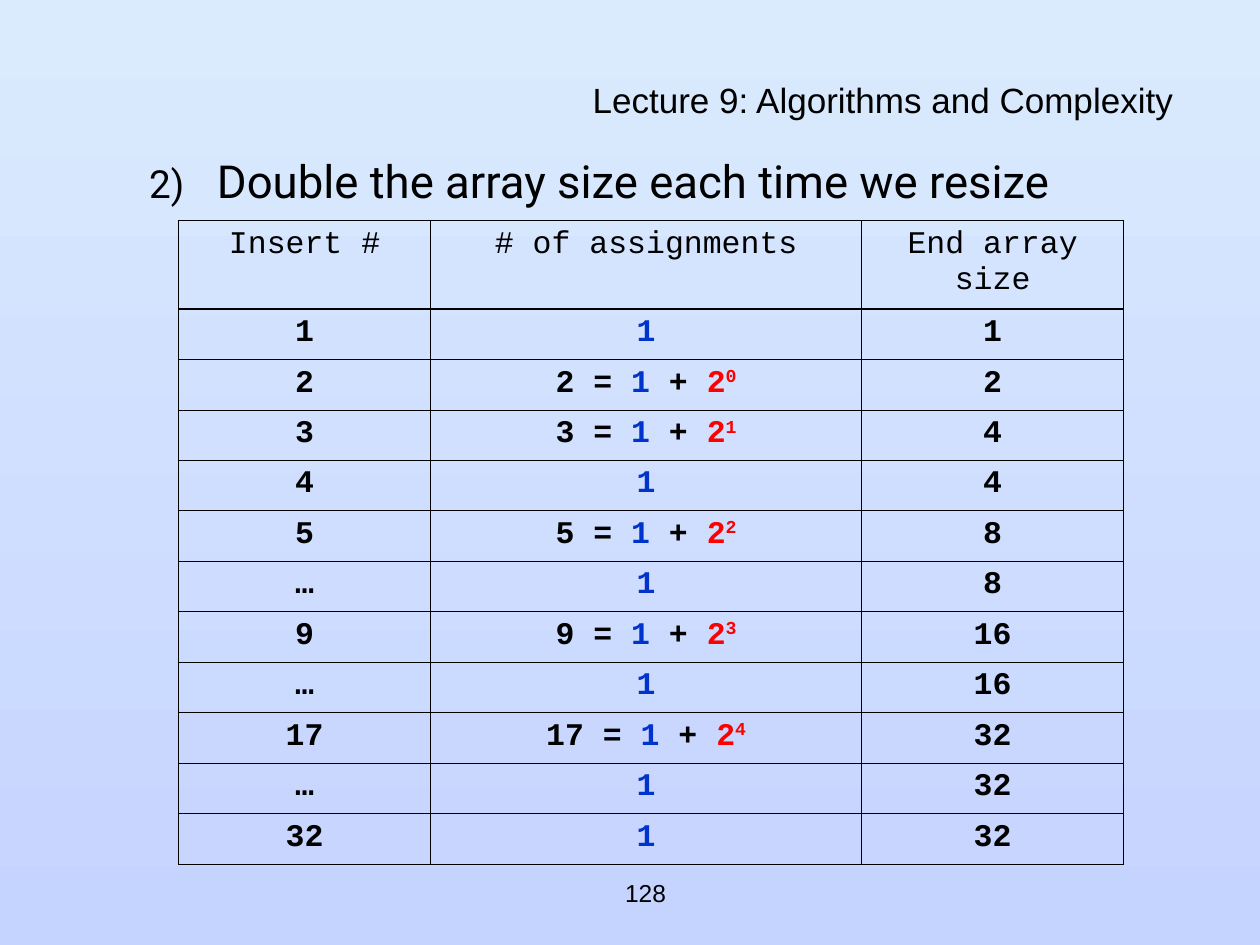
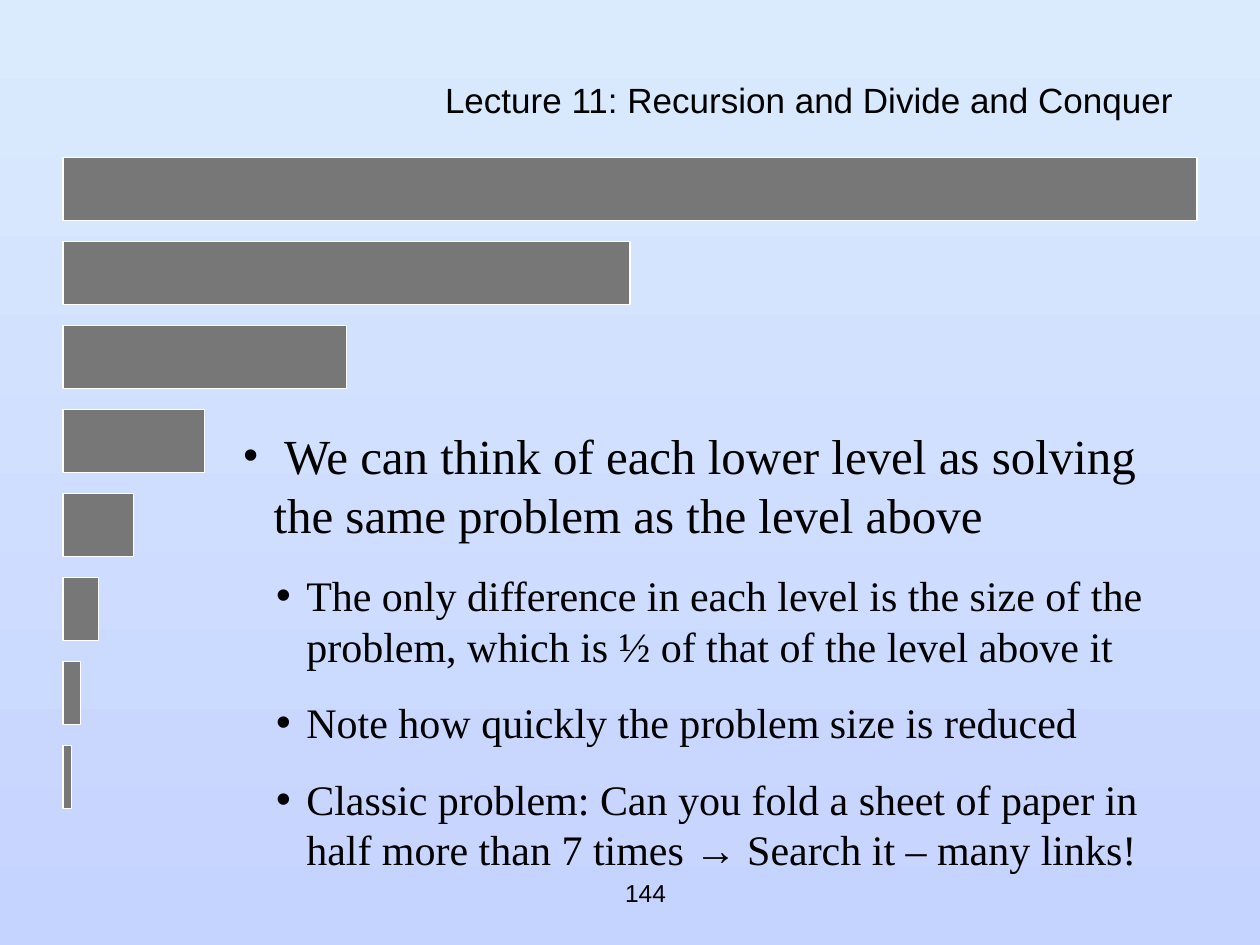
import pptx
import pptx.dml.color
import pptx.enum.shapes
import pptx.enum.text
import pptx.oxml
import pptx.oxml.ns
import pptx.util
from lxml import etree

Cm = pptx.util.Cm
Pt = pptx.util.Pt
RGBColor = pptx.dml.color.RGBColor
Align = pptx.enum.text.PP_ALIGN
Anchor = pptx.enum.text.MSO_ANCHOR

# Colours and fonts
SKY_TOP = RGBColor(0xDA, 0xEB, 0xFE)
SKY_BOTTOM = RGBColor(0xC5, 0xD3, 0xFF)
BLACK = RGBColor(0, 0, 0)
WHITE = RGBColor(0xFF, 0xFF, 0xFF)
GRAY = RGBColor(0x77, 0x77, 0x77)
BLUE = RGBColor(0, 0x33, 0xCC)
RED = RGBColor(0xFF, 0, 0)
HEADING_FONT = "Arial"
LIST_FONT = "Roboto"
TABLE_FONT = "Courier New"
BODY_FONT = "Times New Roman"

# Table content: insert number, exponent of the copying cost, end array size
HEADERS = ["Insert #", "# of assignments", "End array size"]
INSERTS = [
    ("1", None, 1), ("2", 0, 2), ("3", 1, 4), ("4", None, 4),
    ("5", 2, 8), ("…", None, 8), ("9", 3, 16), ("…", None, 16),
    ("17", 4, 32), ("…", None, 32), ("32", None, 32),
]
COLUMN_WIDTHS = [5.08, 8.69, 5.28]
TABLE_HEIGHT, HEADER_HEIGHT = 12.95, 1.78
ROW_HEIGHT = (TABLE_HEIGHT - HEADER_HEIGHT) / len(INSERTS)
THIN, THICK = 0.45, 1.47

# Halving bars
BAR_COUNT = 8
BAR_LEFT, BAR_TOP, BAR_WIDTH, BAR_HEIGHT = 1.27, 3.18, 22.86, 1.27
BAR_PITCH = BAR_HEIGHT * 4 / 3

POINTS = [
    "The only difference in each level is the size of the problem, "
    "which is ½ of that of the level above it",
    "Note how quickly the problem size is reduced",
]


def place(shape, left, top, width, height):
    shape.left, shape.top = Cm(left), Cm(top)
    shape.width, shape.height = Cm(width), Cm(height)


def add_run(paragraph, text, font, size, color=BLACK, bold=False, baseline=0):
    run = paragraph.add_run()
    run.text = text
    run.font.name = font
    run.font.size = Pt(size)
    run.font.color.rgb = color
    run.font.bold = bold
    if baseline:
        run.font._element.set("baseline", str(baseline * 1000))


def add_marker(paragraph, margin, hanging, marker, size=100):
    """Give the paragraph a hanging indent with a black bullet or number."""
    properties = paragraph._p.get_or_add_pPr()
    properties.set("marL", str(Cm(margin)))
    properties.set("indent", str(-Cm(hanging)))
    for xml in (f'<a:buClr %s><a:srgbClr val="{BLACK}"/></a:buClr>',
                f'<a:buSzPct %s val="{size * 1000}"/>',
                marker):
        properties.append(pptx.oxml.parse_xml(xml % pptx.oxml.ns.nsdecls("a")))


def style_master(presentation):
    fill = presentation.slide_master.background.fill
    fill.gradient()
    fill.gradient_angle = 270
    for stop, color, position in zip(fill.gradient_stops, (SKY_TOP, SKY_BOTTOM), (0, 1)):
        stop.color.rgb = color
        stop.position = position


def add_lecture_slide(presentation, title_text, number):
    slide = presentation.slides.add_slide(presentation.slide_layouts[1])
    # Title
    title = slide.shapes.title
    place(title, 1.48, 1.7, 22.43, 0.84)
    title.text_frame.auto_size = pptx.enum.text.MSO_AUTO_SIZE.NONE
    title.text_frame.vertical_anchor = Anchor.MIDDLE
    paragraph = title.text_frame.paragraphs[0]
    paragraph.alignment = Align.RIGHT
    paragraph.line_spacing = 0.7
    add_run(paragraph, title_text, HEADING_FONT, 20)
    # Page number
    box = slide.shapes.add_textbox(Cm(10.37), Cm(17.36), Cm(5.29), Cm(1.27))
    box.text_frame.word_wrap = False
    box.text_frame.vertical_anchor = Anchor.MIDDLE
    paragraph = box.text_frame.paragraphs[0]
    paragraph.alignment = Align.CENTER
    add_run(paragraph, str(number), HEADING_FONT, 14)
    return slide


def prepare_body(slide, left, top, width, height):
    body = slide.placeholders[1]
    place(body, left, top, width, height)
    body.text_frame.auto_size = pptx.enum.text.MSO_AUTO_SIZE.NONE
    return body.text_frame


def set_borders(cell, top, bottom):
    properties = cell._tc.get_or_add_tcPr()
    for side, width in (("L", THIN), ("R", THIN), ("T", top), ("B", bottom)):
        line = etree.SubElement(properties, pptx.oxml.ns.qn(f"a:ln{side}"), w=str(Pt(width)))
        fill = etree.SubElement(line, pptx.oxml.ns.qn("a:solidFill"))
        etree.SubElement(fill, pptx.oxml.ns.qn("a:srgbClr"), val=str(BLACK))


def fill_cell(cell, parts, bold):
    """Write (text, colour, baseline) parts into a centred cell."""
    paragraph = cell.text_frame.paragraphs[0]
    paragraph.alignment = Align.CENTER
    for text, color, baseline in parts:
        add_run(paragraph, text, TABLE_FONT, 18, color, bold, baseline)


def assignment_parts(insert, exponent):
    one = ("1", BLUE, 0)
    if exponent is None:
        return [one]
    return [(f"{insert} = ", BLACK, 0), one, (" + ", BLACK, 0),
            ("2", RED, 0), (str(exponent), RED, 30)]


def add_insert_table(slide):
    rows = [[[(header, BLACK, 0)] for header in HEADERS]]
    for insert, exponent, size in INSERTS:
        rows.append([[(insert, BLACK, 0)], assignment_parts(insert, exponent),
                     [(str(size), BLACK, 0)]])
    table = slide.shapes.add_table(len(rows), len(HEADERS), Cm(3.6), Cm(4.45),
                                   Cm(sum(COLUMN_WIDTHS)), Cm(TABLE_HEIGHT)).table
    table.first_row = table.horz_banding = False
    for column, width in zip(table.columns, COLUMN_WIDTHS):
        column.width = Cm(width)
    for row_index, row in enumerate(rows):
        table.rows[row_index].height = Cm(ROW_HEIGHT if row_index else HEADER_HEIGHT)
        for column_index, parts in enumerate(row):
            cell = table.cell(row_index, column_index)
            fill_cell(cell, parts, bold=row_index > 0)
            set_borders(cell, THICK if row_index == 1 else THIN,
                        THICK if row_index == 0 else THIN)
            cell.fill.background()


def add_halving_bars(slide):
    for level in range(BAR_COUNT):
        bar = slide.shapes.add_shape(
            pptx.enum.shapes.MSO_SHAPE.RECTANGLE, Cm(BAR_LEFT),
            Cm(BAR_TOP + level * BAR_PITCH), Cm(BAR_WIDTH / 2 ** level), Cm(BAR_HEIGHT))
        bar.shadow.inherit = False
        bar.fill.solid()
        bar.fill.fore_color.rgb = GRAY
        bar.line.color.rgb = WHITE
        bar.line.width = Pt(0.75)


def add_bullet(paragraph, margin, parts, space_before=0):
    """Write (text, font, size) parts as one bulleted paragraph."""
    add_marker(paragraph, margin, 0.61, '<a:buChar %s char="•"/>')
    paragraph.space_before = Pt(space_before)
    for text, font, size in parts:
        add_run(paragraph, text, font, size)


def build_doubling_slide(presentation):
    slide = add_lecture_slide(presentation, "Lecture 9: Algorithms and Complexity", 128)
    paragraph = prepare_body(slide, 1.48, 2.96, 22.43, 13.97).paragraphs[0]
    add_marker(paragraph, 2.64, 1.37,
               '<a:buAutoNum %s type="arabicParenR" startAt="2"/>', size=85)
    paragraph.space_before = Pt(0)
    add_run(paragraph, "Double the array size each time we resize", LIST_FONT, 26)
    add_insert_table(slide)


def build_halving_slide(presentation):
    slide = add_lecture_slide(presentation, "Lecture 11: Recursion and Divide and Conquer", 144)
    add_halving_bars(slide)
    frame = prepare_body(slide, 4.65, 8.46, 19.48, 9.3)
    add_bullet(frame.paragraphs[0], 0.61, [
        (" ", BODY_FONT, 24),
        ("We can think of each lower level as solving the same problem as the level above",
         BODY_FONT, 28)])
    details = [[(point, BODY_FONT, 24)] for point in POINTS]
    details.append([
        ("Classic problem: Can you fold a sheet of paper in half more than 7 times ",
         BODY_FONT, 24),
        ("→", HEADING_FONT, 24),
        (" Search it – many links!", BODY_FONT, 24)])
    for parts in details:
        paragraph = frame.add_paragraph()
        paragraph.level = 1
        add_bullet(paragraph, 1.27, parts, space_before=15)


def main():
    presentation = pptx.Presentation()
    presentation.slide_width, presentation.slide_height = Cm(25.4), Cm(19.05)
    style_master(presentation)
    build_doubling_slide(presentation)
    build_halving_slide(presentation)
    presentation.save("out.pptx")


if __name__ == "__main__":
    main()
